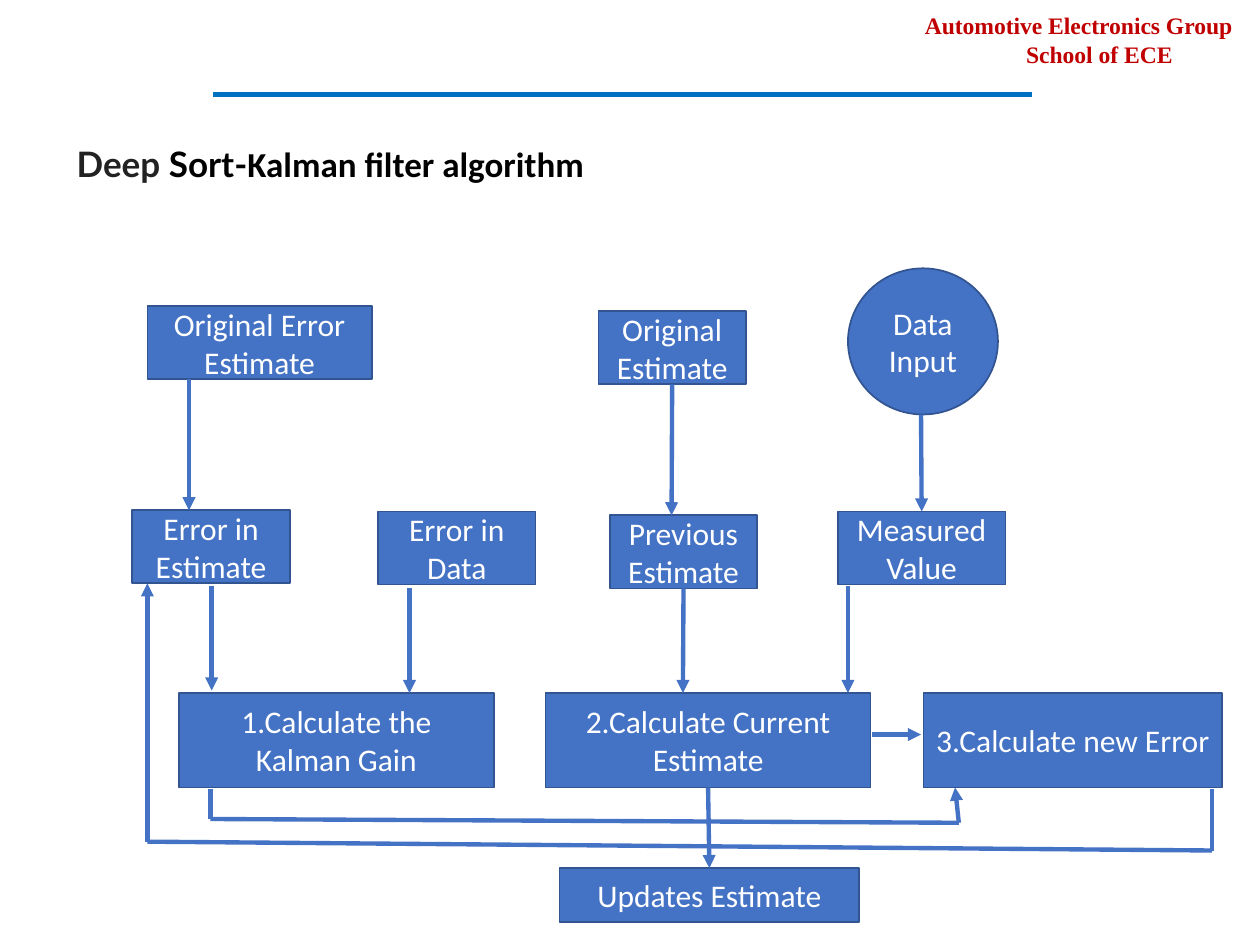
from dataclasses import dataclass
from itertools import pairwise

from lxml import etree
from pptx import Presentation
from pptx.dml.color import RGBColor
from pptx.enum import shapes, text
from pptx.oxml.ns import qn
from pptx.util import Inches, Pt


@dataclass(frozen=True)
class Theme:
    red: str = "C00000"
    rule: str = "0070C0"
    ink: str = "222222"
    black: str = "000000"
    white: str = "FFFFFF"
    fill: str = "4472C4"
    edge: str = "325491"
    header_font: str = "Times New Roman"
    title_font: str = "Lato"
    body_font: str = "Calibri"
    header_size: float = 13.5
    title_size: float = 20
    node_size: float = 18
    edge_width: float = 1
    arrow_width: float = 2.5
    rule_width: float = 3


@dataclass(frozen=True)
class Box:
    left: float
    top: float
    width: float
    height: float

    def inside(self, left, top, width, height):
        return Box(self.left + left, self.top + top, width, height)

    def point(self, x, y):
        return Inches(self.left + x), Inches(self.top + y)

    def lengths(self):
        return [Inches(n) for n in (self.left, self.top, self.width, self.height)]


THEME = Theme()
RECT = shapes.MSO_SHAPE.RECTANGLE
OVAL = shapes.MSO_SHAPE.OVAL
BOTTOM, TOP = 2, 0

# Nodes: name -> text, left, top, width, height, outline (within the flowchart)
NODES = {
    "original error": ("Original Error Estimate", 0.17, 0.43, 1.78, 0.58, RECT),
    "error estimate": ("Error in\nEstimate", 0.05, 2.05, 1.25, 0.58, RECT),
    "error data": ("Error in Data", 2, 2.06, 1.25, 0.58, RECT),
    "gain": ("1.Calculate the Kalman Gain", 0.42, 3.5, 2.5, 0.75, RECT),
    "current": ("2.Calculate Current Estimate", 3.33, 3.5, 2.58, 0.75, RECT),
    "new error": ("3.Calculate new Error", 6.33, 3.5, 2.37, 0.75, RECT),
    "original": ("Original Estimate", 3.75, 0.47, 1.17, 0.58, RECT),
    "measured": ("Measured Value", 5.65, 2.06, 1.33, 0.58, RECT),
    "previous": ("Previous Estimate", 3.84, 2.09, 1.17, 0.58, RECT),
    "updates": ("Updates Estimate", 3.44, 4.89, 2.38, 0.43, RECT),
    "input": ("Data Input", 5.73, 0.13, 1.19, 1.16, OVAL),
}

# Arrows: from, to, node joined at its bottom, node joined at its top
ARROWS = [
    ((0.5, 1.01), (0.5, 2.05), None, None),
    ((4.33, 1.05), (4.33, 2.09), "original", None),
    ((6.31, 1.29), (6.31, 2.06), None, "measured"),
    ((0.68, 2.65), (0.68, 3.48), None, None),
    ((2.25, 2.67), (2.25, 3.5), None, None),
    ((4.42, 2.67), (4.42, 3.5), "previous", None),
    ((5.73, 2.65), (5.73, 3.5), None, None),
    ((5.92, 3.83), (6.31, 3.83), None, None),
    ((4.62, 4.25), (4.62, 4.89), "current", "updates"),
]

# Routes that run below the steps; the last leg carries the arrowhead
ROUTES = [
    [(0.67, 4.26), (0.67, 4.5), (6.61, 4.53), (6.58, 4.25)],
    [(8.62, 4.26), (8.62, 4.75), (0.17, 4.68), (0.17, 2.63)],
]


def add_span(para, words, *, font, size, color, bold=False):
    span = para.add_run()
    span.text = words
    span.font.name = font
    span.font.size = Pt(size)
    span.font.bold = bold
    span.font.color.rgb = RGBColor.from_string(color)


def add_line(page, start, end, *, color, width, arrow=False):
    line = page.shapes.add_connector(shapes.MSO_CONNECTOR.STRAIGHT, *start, *end)
    line.line.color.rgb = RGBColor.from_string(color)
    line.line.width = Pt(width)
    if arrow:
        etree.SubElement(line.line._get_or_add_ln(), qn("a:tailEnd"), type="triangle")
    etree.SubElement(line._element.spPr, qn("a:effectLst"))
    return line


def add_text_box(page, box):
    frame = page.shapes.add_textbox(*box.lengths()).text_frame
    frame.word_wrap = True
    return frame


def add_header(page, box):
    frame = add_text_box(page, box)
    frame.margin_left = frame.margin_right = Inches(0.07)
    frame.margin_top = frame.margin_bottom = Inches(0.04)
    lines = [("Automotive Electronics Group", 0), ("School of ECE", 0.33)]
    for index, (words, indent) in enumerate(lines):
        para = frame.add_paragraph() if index else frame.paragraphs[0]
        para.alignment = text.PP_ALIGN.CENTER
        para._p.get_or_add_pPr().set("marL", str(Inches(indent)))
        add_span(para, words, font=THEME.header_font, size=THEME.header_size,
                 color=THEME.red, bold=True)


def add_title(page, box):
    para = add_text_box(page, box).paragraphs[0]
    for words, font, color in [
        ("Deep ", THEME.title_font, THEME.ink),
        ("Sort-", THEME.title_font, THEME.black),
        ("Kalman filter algorithm", THEME.body_font, THEME.black),
    ]:
        add_span(para, words, font=font, size=THEME.title_size, color=color, bold=True)


def add_node(page, box, words, outline):
    node = page.shapes.add_shape(outline, *box.lengths())
    node.shadow.inherit = False
    node.fill.solid()
    node.fill.fore_color.rgb = RGBColor.from_string(THEME.fill)
    node.line.color.rgb = RGBColor.from_string(THEME.edge)
    node.line.width = Pt(THEME.edge_width)
    frame = node.text_frame
    frame.word_wrap = True
    frame.vertical_anchor = text.MSO_ANCHOR.MIDDLE
    for index, line in enumerate(words.split("\n")):
        para = frame.add_paragraph() if index else frame.paragraphs[0]
        para.alignment = text.PP_ALIGN.CENTER
        add_span(para, line, font=THEME.body_font, size=THEME.node_size, color=THEME.white)
    return node


def add_flowchart(page, box):
    nodes = {
        name: add_node(page, box.inside(*place), words, outline)
        for name, (words, *place, outline) in NODES.items()
    }
    stroke = {"color": THEME.fill, "width": THEME.arrow_width}
    for start, end, source, target in ARROWS:
        arrow = add_line(page, box.point(*start), box.point(*end), arrow=True, **stroke)
        if source:
            arrow.begin_connect(nodes[source], BOTTOM)
        if target:
            arrow.end_connect(nodes[target], TOP)
    for route in ROUTES:
        for start, end in pairwise(route):
            add_line(page, box.point(*start), box.point(*end),
                     arrow=end == route[-1], **stroke)


def main():
    deck = Presentation()
    deck.slide_width, deck.slide_height = Inches(10), Inches(7.5)
    page = deck.slides.add_slide(deck.slide_layouts[6])

    # Header and its rule
    add_header(page, Box(7, 0.05, 3.12, 0.52))
    add_line(page, (Inches(1.69), Inches(0.75)), (Inches(8.19), Inches(0.75)),
             color=THEME.rule, width=THEME.rule_width)

    # Title and flowchart
    add_title(page, Box(0.51, 1.08, 8.86, 0.45))
    add_flowchart(page, Box(1, 2, 8.7, 5.32))
    deck.save("out.pptx")


if __name__ == "__main__":
    main()
